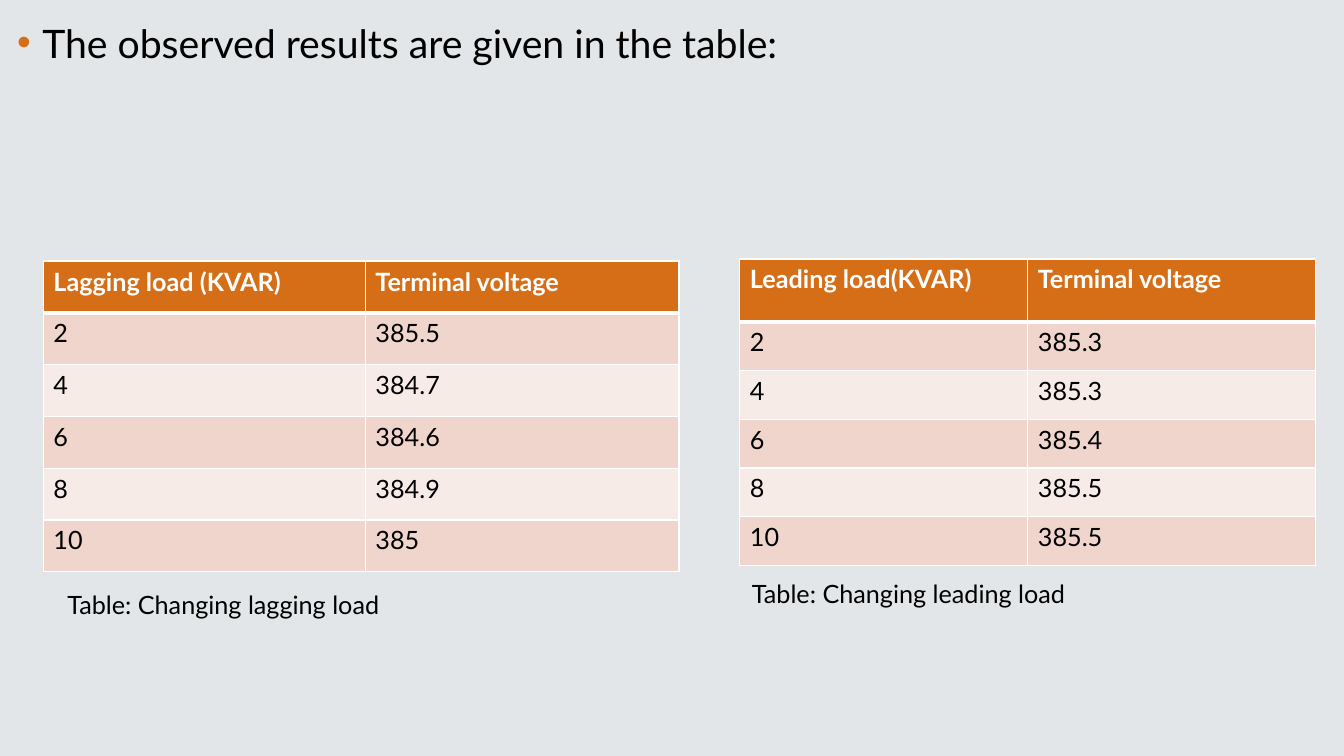
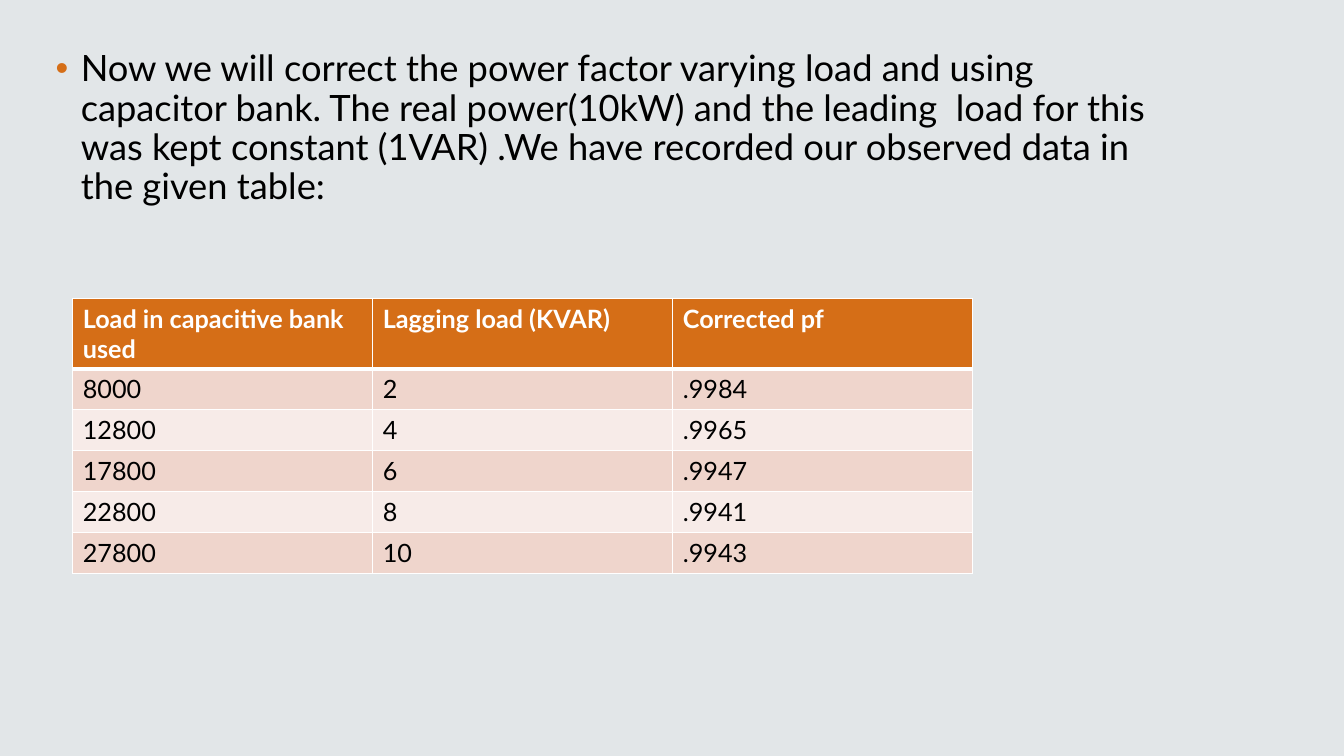
"""Build two slides of observed power factor results with tables."""
from lxml.etree import SubElement
from pptx import Presentation
from pptx.dml.color import RGBColor
from pptx.enum.text import MSO_ANCHOR as Anchor, MSO_AUTO_SIZE as AutoSize
from pptx.oxml.ns import qn
from pptx.util import Pt

COLORS = {
    "background": "E2E6E8",
    "accent": "D56E17",
    "band": "EFD5CC",
    "light_band": "F7EBE8",
    "text": "000000",
    "white": "FFFFFF",
}
FRAME_FORMAT = {
    "word_wrap": True,
    "auto_size": AutoSize.NONE,
    "vertical_anchor": Anchor.TOP,
}


def color(name):
    return RGBColor.from_string(COLORS[name])


def set_format(target, values):
    for name, value in values.items():
        setattr(target, name, value)


class Deck:
    font_name = "Lato"
    text_size = 18
    bullet_indent = 18

    def __init__(self):
        self.presentation = Presentation()
        set_format(self.presentation, {"slide_width": Pt(960), "slide_height": Pt(540)})
        fill = self.presentation.slide_master.background.fill
        fill.solid()
        fill.fore_color.rgb = color("background")
        self.slide = None

    def add_slide(self):
        layout = self.presentation.slide_layouts.get_by_name("Title and Content")
        self.slide = self.presentation.slides.add_slide(layout)
        title = self.slide.shapes.title.element
        title.getparent().remove(title)

    def add_text(self, paragraph, text, size=text_size, color_name="text", bold=False):
        run = paragraph.add_run()
        run.text = text
        set_format(run.font, {"name": self.font_name, "size": Pt(size), "bold": bold})
        run.font.color.rgb = color(color_name)

    def add_bullet(self, text, left, top, width, height, size, line_spacing):
        body = self.slide.placeholders[1]
        box = {"left": left, "top": top, "width": width, "height": height}
        set_format(body, {name: Pt(value) for name, value in box.items()})
        set_format(body.text_frame, FRAME_FORMAT)
        paragraph = body.text_frame.paragraphs[0]
        properties = paragraph._p.get_or_add_pPr()
        properties.set("marL", str(Pt(self.bullet_indent)))
        properties.set("indent", str(-Pt(self.bullet_indent)))
        bullet_color = SubElement(properties, qn("a:buClr"))
        SubElement(bullet_color, qn("a:srgbClr"), val=COLORS["accent"])
        SubElement(properties, qn("a:buFont"), typeface="Arial")
        SubElement(properties, qn("a:buChar"), char="•")
        set_format(paragraph, {"line_spacing": line_spacing, "space_before": Pt(0)})
        self.add_text(paragraph, text, size)

    def add_caption(self, text, left, top, width):
        box = self.slide.shapes.add_textbox(Pt(left), Pt(top), Pt(width), Pt(29))
        set_format(box.text_frame, FRAME_FORMAT)
        self.add_text(box.text_frame.paragraphs[0], text)

    def add_borders(self, cell, widths):
        properties = cell._tc.get_or_add_tcPr()
        for side in "LRTB":
            width = Pt(widths.get(side, 1))
            line = SubElement(properties, qn(f"a:ln{side}"), w=str(width))
            fill = SubElement(line, qn("a:solidFill"))
            SubElement(fill, qn("a:srgbClr"), val=COLORS["white"])

    def add_table(self, rows, left, top, column_widths, header_height, row_height):
        heights = [header_height] + [row_height] * (len(rows) - 1)
        frame = self.slide.shapes.add_table(
            len(rows), len(column_widths), Pt(left), Pt(top),
            Pt(sum(column_widths)), Pt(sum(heights)))
        table = frame.table
        for column, width in zip(table.columns, column_widths):
            column.width = Pt(width)
        for index, (row, height, texts) in enumerate(zip(table.rows, heights, rows)):
            row.height = Pt(height)
            header = index == 0
            fill_name = "accent" if header else "band" if index % 2 else "light_band"
            borders = {0: {"B": 3}, 1: {"T": 3}}.get(index, {})
            for cell, text in zip(row.cells, texts):
                self.add_borders(cell, borders)
                cell.fill.solid()
                cell.fill.fore_color.rgb = color(fill_name)
                self.add_text(cell.text_frame.paragraphs[0], text,
                              color_name="white" if header else "text", bold=header)


def main():
    deck = Deck()
    loads = ["2", "4", "6", "8", "10"]

    deck.add_slide()
    deck.add_bullet("The observed results are given in the table:",
                    5, 6.5, 823, 80, size=28, line_spacing=1.1)
    lagging_voltages = ["385.5", "384.7", "384.6", "384.9", "385"]
    deck.add_table(
        [("Lagging load (KVAR)", "Terminal voltage"), *zip(loads, lagging_voltages)],
        31, 186.5, [230, 224], header_height=37, row_height=37)
    leading_voltages = ["385.3", "385.3", "385.4", "385.5", "385.5"]
    deck.add_table(
        [("Leading load(KVAR)", "Terminal voltage"), *zip(loads, leading_voltages)],
        528.5, 185, [205.7] * 2, header_height=45, row_height=34.8)
    deck.add_caption("Table: Changing lagging load", 41, 417.5, 441)
    deck.add_caption("Table: Changing leading load", 530, 409.5, 409)

    deck.add_slide()
    deck.add_bullet(
        "Now we will correct the power factor varying load and using capacitor bank. "
        "The real power(10kW) and the leading  load for this was kept constant "
        "(1VAR) .We have recorded our observed data in the given table:",
        32.5, 32.5, 819, 130, size=25.9, line_spacing=0.9)
    capacitor_loads = ["8000", "12800", "17800", "22800", "27800"]
    power_factors = [".9984", ".9965", ".9947", ".9941", ".9943"]
    deck.add_table(
        [("Load in capacitive bank used", "Lagging load (KVAR)", "Corrected pf"),
         *zip(capacitor_loads, loads, power_factors)],
        52, 213, [214.3] * 3, header_height=50.5, row_height=29.2)

    deck.presentation.save("out.pptx")


if __name__ == "__main__":
    main()
